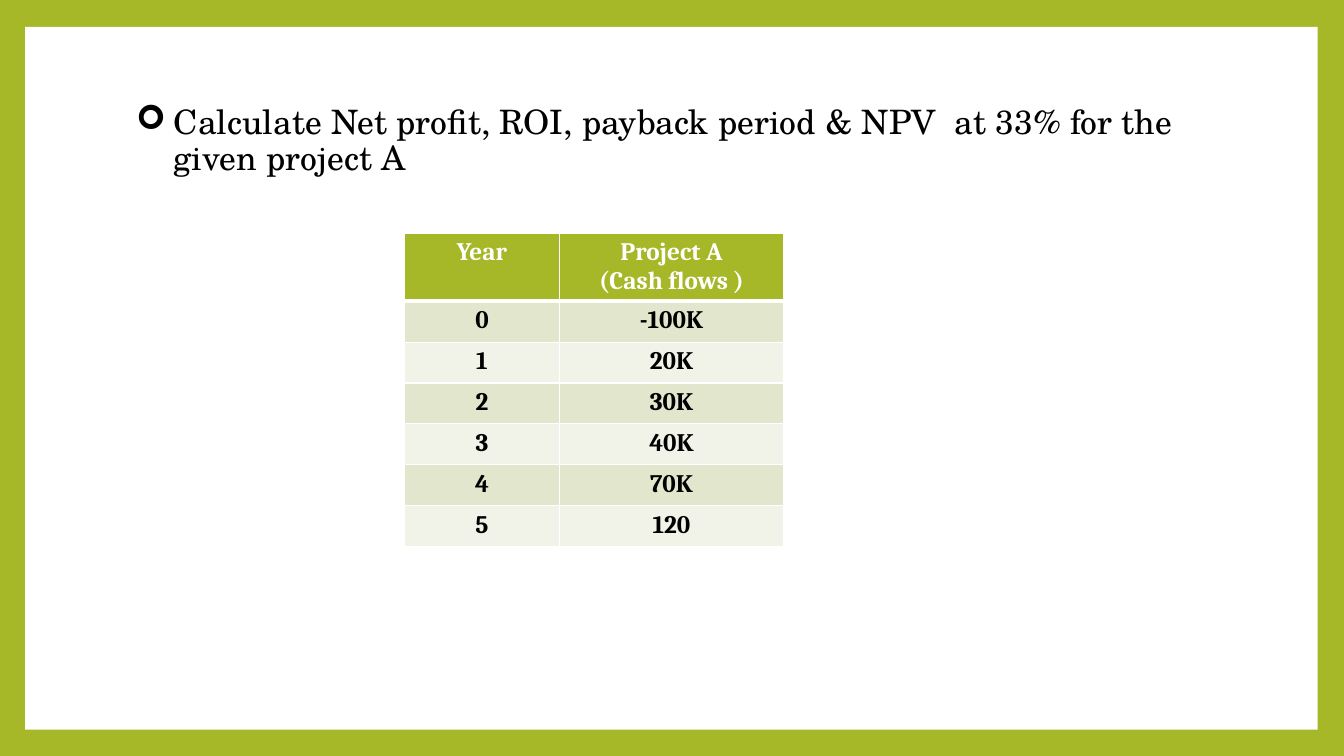
from lxml import etree
from pptx import Presentation
from pptx.dml.color import RGBColor
from pptx.enum.shapes import MSO_SHAPE
from pptx.enum.text import MSO_ANCHOR, MSO_AUTO_SIZE, PP_ALIGN
from pptx.oxml.ns import qn
from pptx.util import Pt

RECTANGLE = MSO_SHAPE.RECTANGLE
MIDDLE = MSO_ANCHOR.MIDDLE
NO_AUTOFIT = MSO_AUTO_SIZE.NONE
LEFT, CENTER = PP_ALIGN.LEFT, PP_ALIGN.CENTER

GREEN = RGBColor(0xA6, 0xB7, 0x27)
BAND_DARK = RGBColor(0xE1, 0xE6, 0xCD)
BAND_LIGHT = RGBColor(0xF1, 0xF3, 0xE8)
WHITE = RGBColor(0xFF, 0xFF, 0xFF)
BLACK = RGBColor(0, 0, 0)

TITLE_ONLY_LAYOUT = 5
TITLE = "Calculate Net profit, ROI, payback period & NPV  at 33% for the given project A"
CASH_FLOWS = [
    ("Year", "Project A\n(Cash flows )"),
    ("0", "-100K"),
    ("1", "20K"),
    ("2", "30K"),
    ("3", "40K"),
    ("4", "70K"),
    ("5", "120"),
]


class SlideBuilder:
    title_font, title_size = "TeX Gyre Schola", Pt(24)
    table_font, table_size = "Cambria", Pt(18)
    thin_line, header_line = Pt(1), Pt(3)

    def __init__(self, presentation):
        layout = presentation.slide_layouts[TITLE_ONLY_LAYOUT]
        self.slide = presentation.slides.add_slide(layout)

    def background(self, color):
        fill = self.slide.background.fill
        fill.solid()
        fill.fore_color.rgb = color

    def panel(self, left, top, width, height, color):
        """Add a plain rectangle behind everything else on the slide."""
        shapes = self.slide.shapes
        shape = shapes.add_shape(RECTANGLE, Pt(left), Pt(top), Pt(width), Pt(height))
        shape.shadow.inherit = False
        shape.fill.solid()
        shape.fill.fore_color.rgb = color
        shape.line.fill.background()
        shapes[0].element.addprevious(shape.element)

    def title(self, text, left, top, width, height, indent):
        shape = self.slide.shapes.title
        shape.left, shape.top = Pt(left), Pt(top)
        shape.width, shape.height = Pt(width), Pt(height)
        text_frame = shape.text_frame
        text_frame.text = text
        text_frame.word_wrap = True
        text_frame.auto_size = NO_AUTOFIT
        text_frame.vertical_anchor = MIDDLE
        paragraph = text_frame.paragraphs[0]
        paragraph.alignment = LEFT
        paragraph.line_spacing = 0.9
        properties = paragraph._p.get_or_add_pPr()
        properties.set("marL", str(Pt(indent)))
        properties.set("indent", str(-Pt(indent)))
        etree.SubElement(properties, qn("a:buFont"), typeface="Wingdings")
        etree.SubElement(properties, qn("a:buChar"), char="➢")
        self.format_run(paragraph.runs[0], self.title_font, self.title_size, BLACK, False)

    def table(self, rows, left, top, column_widths, header_height, row_height):
        heights = [header_height] + [row_height] * (len(rows) - 1)
        frame = self.slide.shapes.add_table(
            len(rows), len(column_widths), Pt(left), Pt(top),
            Pt(sum(column_widths)), Pt(sum(heights)))
        table = frame.table
        for column, width in zip(table.columns, column_widths):
            column.width = Pt(width)
        for row_index, values in enumerate(rows):
            table.rows[row_index].height = Pt(heights[row_index])
            for column_index, value in enumerate(values):
                self.cell(table.cell(row_index, column_index), value, row_index)

    def cell(self, cell, text, row_index):
        is_header = row_index == 0
        self.cell_borders(cell, row_index)
        cell.fill.solid()
        band = BAND_DARK if row_index % 2 else BAND_LIGHT
        cell.fill.fore_color.rgb = GREEN if is_header else band
        cell.text_frame.text = text
        for paragraph in cell.text_frame.paragraphs:
            paragraph.alignment = CENTER
            for run in paragraph.runs:
                color = WHITE if is_header else BLACK
                self.format_run(run, self.table_font, self.table_size, color, True)

    def cell_borders(self, cell, row_index):
        """Draw white borders, heavier between the header and the first row."""
        properties = cell._tc.get_or_add_tcPr()
        heavy_side = {0: "lnB", 1: "lnT"}.get(row_index)
        for side in ("lnL", "lnR", "lnT", "lnB"):
            width = self.header_line if side == heavy_side else self.thin_line
            line = etree.SubElement(properties, qn(f"a:{side}"), w=str(width))
            fill = etree.SubElement(line, qn("a:solidFill"))
            etree.SubElement(fill, qn("a:srgbClr"), val=str(WHITE))

    def format_run(self, run, name, size, color, bold):
        run.font.name = name
        run.font.size = size
        run.font.bold = bold
        run.font.color.rgb = color


def main():
    presentation = Presentation()
    presentation.slide_width, presentation.slide_height = Pt(960), Pt(540)
    builder = SlideBuilder(presentation)
    builder.background(GREEN)
    builder.panel(18, 19.2, 923.3, 502, WHITE)
    builder.title(TITLE, 90, 48, 777.6, 106.6, indent=27)
    builder.table(CASH_FLOWS, 289, 166.4, (110.6, 160.2),
                  header_height=48.2, row_height=29.2)
    presentation.save("out.pptx")


if __name__ == "__main__":
    main()
